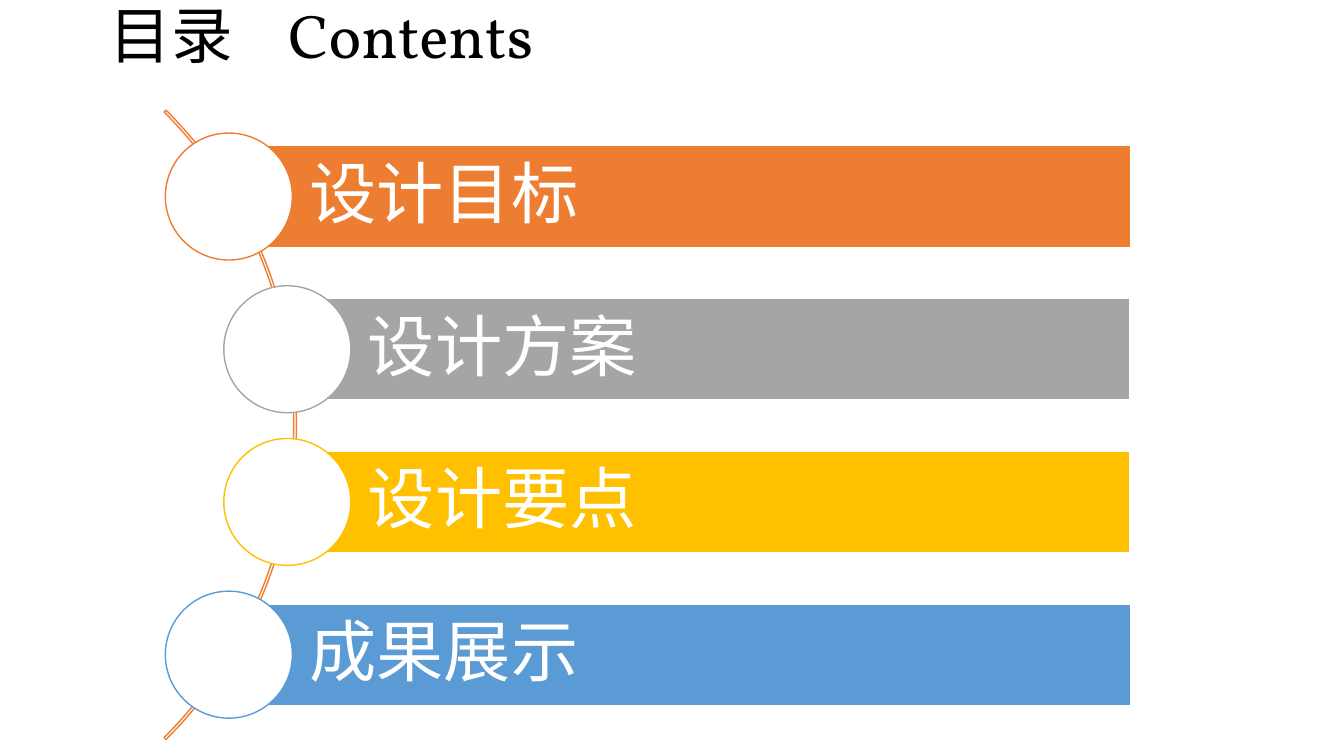
from pptx import Presentation
from pptx.dml.color import RGBColor
from pptx.enum.shapes import MSO_SHAPE
from pptx.enum.text import MSO_ANCHOR, MSO_AUTO_SIZE, PP_ALIGN
from pptx.util import Inches, Pt

ARC, BAR, CIRCLE = MSO_SHAPE.BLOCK_ARC, MSO_SHAPE.RECTANGLE, MSO_SHAPE.OVAL
MIDDLE, LEFT, NO_FIT = MSO_ANCHOR.MIDDLE, PP_ALIGN.LEFT, MSO_AUTO_SIZE.NONE

COLORS = {
    "black": "000000",
    "white": "FFFFFF",
    "orange": "ED7D31",
    "gray": "A5A5A5",
    "yellow": "FFC000",
    "blue": "5B9BD5",
}

# Each chapter: text, colour, horizontal centre of its circle
CHAPTERS = [
    ("设计目标", "orange", 2.27),
    ("设计方案", "gray", 2.85),
    ("设计要点", "yellow", 2.85),
    ("成果展示", "blue", 2.27),
]
FIRST_CENTER, ROW_PITCH = 1.95, 1.515
BAR_RIGHT, BAR_HEIGHT = 11.21, 1.01
CIRCLE_SIZE, ARC_SIZE = 1.26, 8.83

presentation = Presentation()
presentation.slide_width = Inches(13.33)
presentation.slide_height = Inches(7.5)
slide = presentation.slides.add_slide(presentation.slide_layouts[5])


def add_text(paragraph, text, size, font, color, spacing=0):
    """Append a formatted run; spacing is extra points after each character."""
    paragraph.alignment = LEFT
    paragraph.line_spacing = 0.9
    run = paragraph.add_run()
    run.text = text
    run.font.size = Pt(size)
    run.font.name = font
    run.font.color.rgb = RGBColor.from_string(COLORS[color])
    if spacing:
        run._r.get_or_add_rPr().set("spc", str(spacing * 100))


def add_outlined(kind, left, top, width, height, line, fill=None):
    shape = slide.shapes.add_shape(
        kind, Inches(left), Inches(top), Inches(width), Inches(height))
    shape.shadow.inherit = False
    shape.line.color.rgb = RGBColor.from_string(COLORS[line])
    shape.line.width = Pt(1)
    if fill:
        shape.fill.solid()
        shape.fill.fore_color.rgb = RGBColor.from_string(COLORS[fill])
    else:
        shape.fill.background()
    return shape


# Title
title = slide.shapes.title
title.left, title.top = Inches(0.99), Inches(-0.32)
title.width, title.height = Inches(8.34), Inches(1.26)
title.text_frame.vertical_anchor = MIDDLE
title.text_frame.auto_size = NO_FIT
heading = title.text_frame.paragraphs[0]
for text, size, spacing in [("目录", 44, 0), (" ", 60, 26), ("Contents", 44, 0)]:
    add_text(heading, text, size, "Vollkorn", "black", spacing)

# Thin arc from 315 to 45 degrees behind the circles
arc = add_outlined(ARC, -5.89, -0.2, ARC_SIZE, ARC_SIZE, "orange")
for index, value in enumerate([189, 27, 0.003]):
    arc.adjustments[index] = value

# Chapter bars with their circles
for row, (text, color, center_x) in enumerate(CHAPTERS):
    center_y = FIRST_CENTER + row * ROW_PITCH
    bar = add_outlined(BAR, center_x, center_y - BAR_HEIGHT / 2,
                       BAR_RIGHT - center_x, BAR_HEIGHT, "white", color)
    frame = bar.text_frame
    frame.word_wrap = True
    frame.vertical_anchor = MIDDLE
    frame.margin_left = Inches(0.8)
    frame.margin_top = frame.margin_right = frame.margin_bottom = Inches(0.13)
    add_text(frame.paragraphs[0], text, 48, "Roboto", "white")
    add_outlined(CIRCLE, center_x - CIRCLE_SIZE / 2, center_y - CIRCLE_SIZE / 2,
                 CIRCLE_SIZE, CIRCLE_SIZE, color, "white")

presentation.save("out.pptx")
